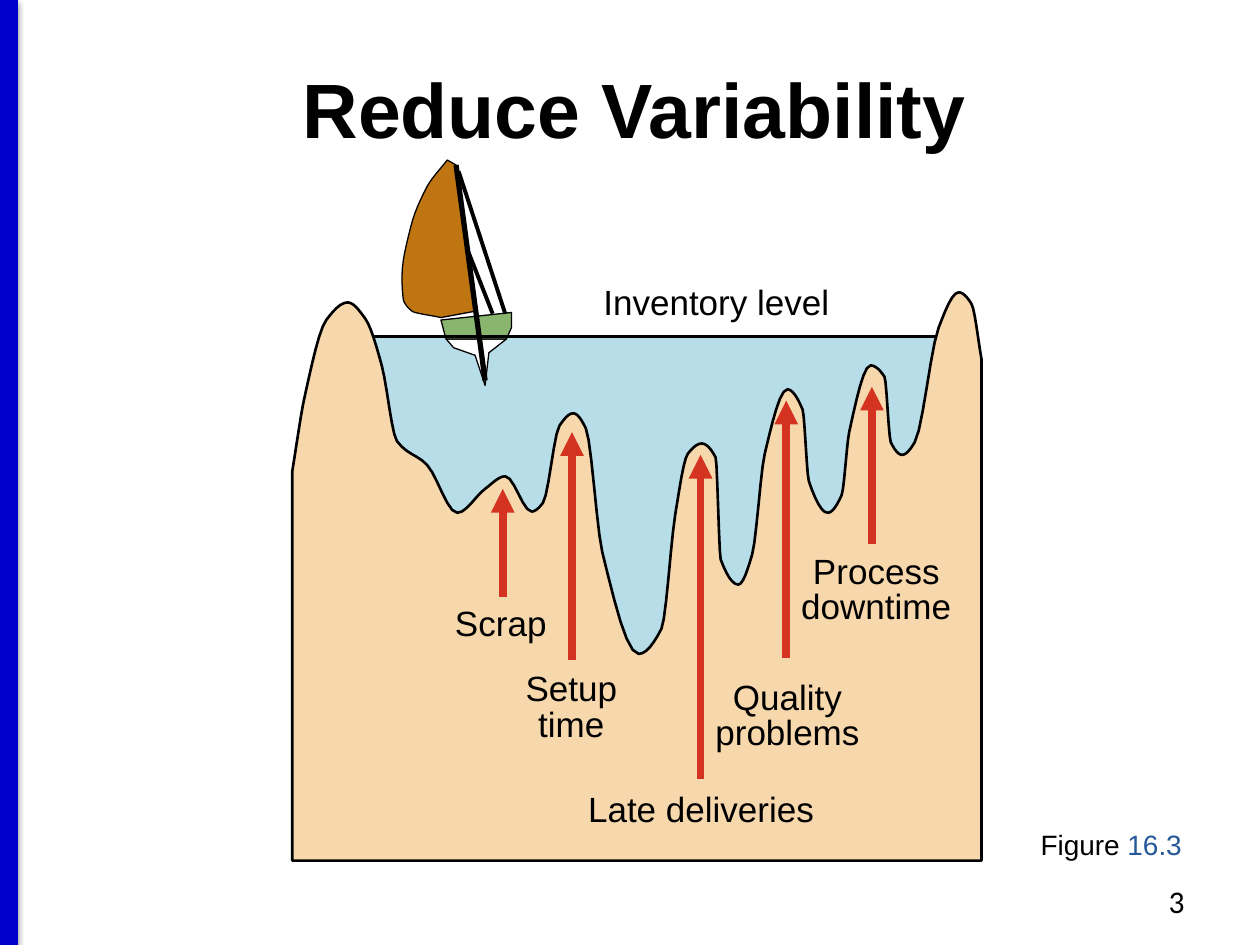
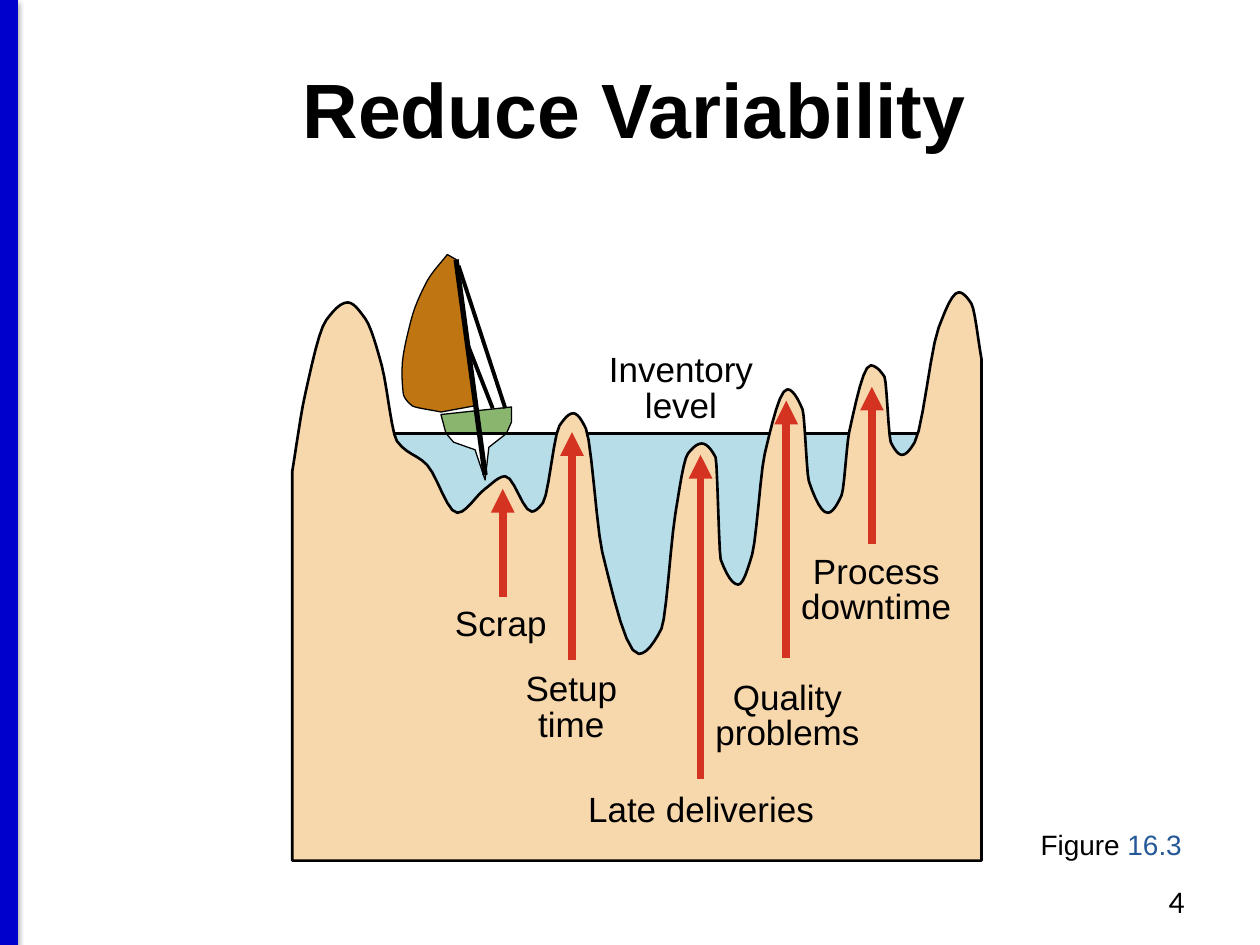
from lxml import etree
from pptx import Presentation
from pptx import util as u
from pptx.dml.color import RGBColor
from pptx.enum import shapes, text
from pptx.oxml import ns

BLACK, WHITE, BAND_BLUE, FIGURE_BLUE = "000000", "FFFFFF", "0000CC", "255898"
WATER, ROCK, SAIL, HULL, ARROW = "B7DEE8", "F7D7AC", "BF7512", "89B56E", "D33320"
RIGHT, CENTER = text.PP_ALIGN.RIGHT, text.PP_ALIGN.CENTER
CURVE_STEPS = 6
HIGH_LEVEL, LOW_LEVEL = 2.67, 3.44
ROCK_LEFT, ROCK_RIGHT, ROCK_BOTTOM = 2.32, 7.79, 6.83

ROCK_TOP = [
    (ROCK_LEFT, 3.74), (2.42, 3.14), (2.59, 2.54), (2.76, 2.4), (2.9, 2.53),
    (3.03, 2.9), (3.15, 3.5), (3.39, 3.69), (3.63, 4.07), (3.85, 3.88), (4.01, 3.78),
    (4.22, 4.06), (4.31, 3.99), (4.44, 3.38), (4.55, 3.28), (4.65, 3.4), (4.78, 4.38),
    (5.07, 5.19), (5.25, 4.99), (5.36, 4.08), (5.46, 3.6), (5.57, 3.52), (5.68, 3.63),
    (5.72, 4.44), (5.86, 4.64), (5.97, 4.4), (6.07, 3.6), (6.25, 3.09), (6.37, 3.25),
    (6.42, 3.82), (6.57, 4.07), (6.68, 3.93), (6.74, 3.43), (6.91, 2.9), (7.02, 2.99),
    (7.07, 3.51), (7.16, 3.61), (7.26, 3.51), (7.45, 2.6), (7.61, 2.32), (7.71, 2.41),
    (ROCK_RIGHT, 2.85)]
WATER_BODY = [(2.89, 2.67), (7.53, 2.67), (7.24, 4.11), (5.08, 5.27), (3.64, 4.6),
              (2.81, 3.3)]
SAIL_EDGE = [(1.27, 3.55), (1.48, 3.39), (1.8, 3.26), (2.2, 3.19), (2.37, 3.2),
             (2.47, 3.27), (2.52, 3.5)]
MAST_TOP, SAIL_CORNER = (3.62, 1.31), (3.77, 2.47)
KEEL = [(3.54, 2.69), (3.6, 2.76), (3.77, 2.82), (3.85, 3.06), (3.88, 2.8), (4.02, 2.69)]
HULL_SIDE = [(4.06, 2.48), (3.5, 2.54), (3.54, 2.69), (4.02, 2.69), (4.06, 2.6)]
RIGGING = [((3.64, 1.36), (4.01, 2.49), 2.25), ((3.71, 1.98), (3.91, 2.49), 2.25),
           (MAST_TOP, (3.85, 3.02), 3)]
PROBLEMS = [
    ("Process downtime", 6.12, 4.36, 1.67, True, 6.92, 4.32, 3.07),
    ("Scrap", 3.51, 4.78, 0.93, False, 3.99, 4.74, 3.88),
    ("Setup time", 3.85, 5.29, 1.37, True, 4.54, 5.24, 3.43),
    ("Late deliveries", 4.56, 6.25, 2.01, False, 5.56, 6.18, 3.61),
    ("Quality problems", 5.46, 5.36, 1.58, True, 6.24, 5.22, 3.18)]


def color(hex_value):
    return RGBColor.from_string(hex_value)


def write(frame, *runs, size=20, font="Arial", bold=False, align=None, spacing=None):
    paragraph = frame.paragraphs[0]
    paragraph.alignment = align
    paragraph.line_spacing = spacing
    for words, ink in runs:
        run = paragraph.add_run()
        run.text = words
        run.font.size, run.font.name, run.font.bold = u.Pt(size), font, bold
        run.font.color.rgb = color(ink)


def smooth(knots):
    pairs = list(zip(knots, knots[1:]))
    chords = [(b[1] - a[1]) / (b[0] - a[0]) for a, b in pairs]
    bends = [2 * m * n / (m + n) if m * n > 0 else 0 for m, n in zip(chords, chords[1:])]
    slopes = [chords[0], *bends, chords[-1]]
    points = [knots[0]]
    for (a, b), start, end in zip(pairs, slopes, slopes[1:]):
        run, rise = b[0] - a[0], b[1] - a[1]
        for step in range(1, CURVE_STEPS + 1):
            t = step / CURVE_STEPS
            ease = t * t * (3 - 2 * t)
            bend = run * t * (1 - t) * (start * (1 - t) - end * t)
            points.append((a[0] + run * t, a[1] + rise * ease + bend))
    return points


class Deck:
    def __init__(self):
        self.presentation = Presentation()
        self.presentation.slide_width = u.Inches(10)
        self.presentation.slide_height = u.Inches(7.5)
        self.slide = None

    def new_slide(self, heading):
        self.slide = self.presentation.slides.add_slide(self.presentation.slide_layouts[5])
        title = self.slide.shapes.title
        title.left, title.top, title.width, title.height = map(
            u.Inches, (0.07, 0.3, 9.93, 1.25))
        title.text_frame.vertical_anchor = text.MSO_ANCHOR.MIDDLE
        write(title.text_frame, (heading, BLACK), size=44, bold=True,
              align=CENTER, spacing=0.8)
        self.line((0.07, 0), (0.07, 7.5), 10, BAND_BLUE, shadow=True)

    def line(self, start, end, weight, ink=BLACK, arrow=False, shadow=False):
        connector = self.slide.shapes.add_connector(
            shapes.MSO_CONNECTOR.STRAIGHT, *map(u.Inches, (*start, *end)))
        connector.line.width = u.Pt(weight)
        connector.line.color.rgb = color(ink)
        properties = connector.element.spPr
        if arrow:
            etree.SubElement(properties.find(ns.qn("a:ln")), ns.qn("a:tailEnd"),
                             type="triangle")
        effects = etree.SubElement(properties, ns.qn("a:effectLst"))
        if shadow:
            outer = etree.SubElement(effects, ns.qn("a:outerShdw"), blurRad="40000",
                                     dist="20000", dir="5400000", rotWithShape="0")
            shade = etree.SubElement(outer, ns.qn("a:srgbClr"), val=BLACK)
            etree.SubElement(shade, ns.qn("a:alpha"), val="38000")

    def outline(self, points, fill, weight=None, dx=0, dy=0, stretch=1):
        corners = [(u.Inches(x + dx),
                    u.Inches(HIGH_LEVEL + dy + (y - HIGH_LEVEL) * stretch))
                   for x, y in points]
        builder = self.slide.shapes.build_freeform(*corners[0])
        builder.add_line_segments(corners[1:], close=True)
        form = builder.convert_to_shape()
        form.shadow.inherit = False
        form.fill.solid()
        form.fill.fore_color.rgb = color(fill)
        if weight is None:
            form.line.fill.background()
        else:
            form.line.width = u.Pt(weight)
            form.line.color.rgb = color(BLACK)

    def label(self, box, *runs, wrap=False, grow=True, **style):
        frame = self.slide.shapes.add_textbox(*map(u.Inches, box)).text_frame
        frame.word_wrap = wrap
        if grow:
            frame.auto_size = text.MSO_AUTO_SIZE.SHAPE_TO_FIT_TEXT
        write(frame, *runs, **style)

    def boat(self, dy):
        sail_cloth = [MAST_TOP, *((x, y) for y, x in smooth(SAIL_EDGE)), SAIL_CORNER]
        for part, fill in ((sail_cloth, SAIL), (KEEL, WHITE), (HULL_SIDE, HULL)):
            self.outline(part, fill, 0.75, dy=dy)
        for (x1, y1), (x2, y2), weight in RIGGING:
            self.line((x1, y1 + dy), (x2, y2 + dy), weight)

    def rocks(self):
        base = [(ROCK_RIGHT, ROCK_BOTTOM), (ROCK_LEFT, ROCK_BOTTOM)]
        self.outline(smooth(ROCK_TOP) + base, ROCK, 1.5)
        for problem, left, top, width, wrap, arrow_x, tail, tip in PROBLEMS:
            self.label((left, top, width, 0.68 if wrap else 0.4), (problem, BLACK),
                       wrap=wrap, align=CENTER, spacing=0.85)
            self.line((arrow_x, tail), (arrow_x, tip), 4.5, ARROW, arrow=True)

    def footer(self, number):
        self.label((8.16, 6.52, 1.38, 0.37), ("Figure ", BLACK), ("16.3", FIGURE_BLUE),
                   size=16)
        self.label((7.17, 6.95, 2.33, 0.4), (str(number), BLACK), wrap=True, grow=False,
                   size=18, font="Calibri", align=RIGHT)

    def inventory_slide(self, number, level, water_dx, water_stretch, boat_dy,
                        level_start, level_box, **level_style):
        self.new_slide("Reduce Variability")
        self.outline(WATER_BODY, WATER, dx=water_dx, dy=level - HIGH_LEVEL,
                     stretch=water_stretch)
        self.boat(boat_dy)
        self.line((level_start, level), (level_start + 4.76, level), 1.5)
        self.label(level_box, ("Inventory level", BLACK), **level_style)
        self.rocks()
        self.footer(number)


def main():
    deck = Deck()
    deck.inventory_slide(3, HIGH_LEVEL, 0, 1, 0, 2.85, (4.69, 2.18, 2.01, 0.44))
    deck.inventory_slide(4, LOW_LEVEL, -0.17, 0.82, 0.75, 2.93, (4.61, 2.76, 1.59, 0.68),
                         wrap=True, align=CENTER, spacing=0.85)
    deck.presentation.save("out.pptx")


if __name__ == "__main__":
    main()
